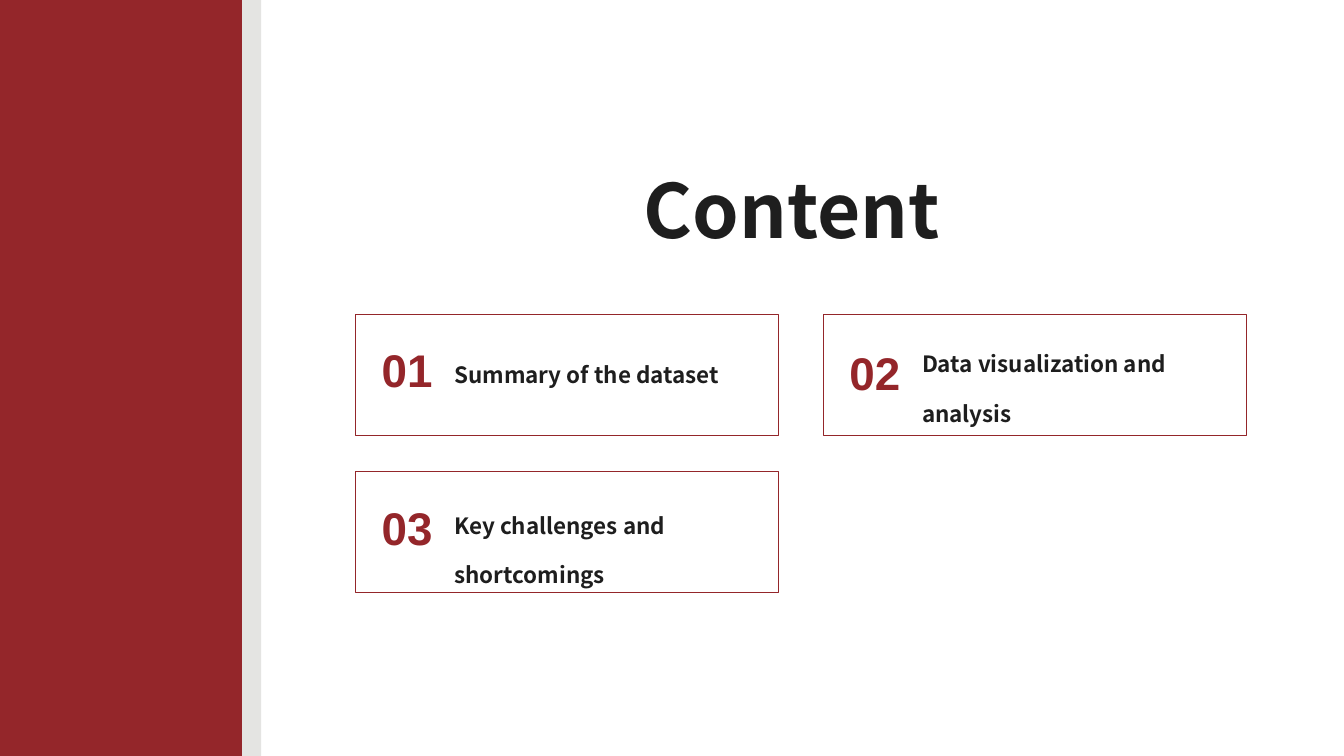
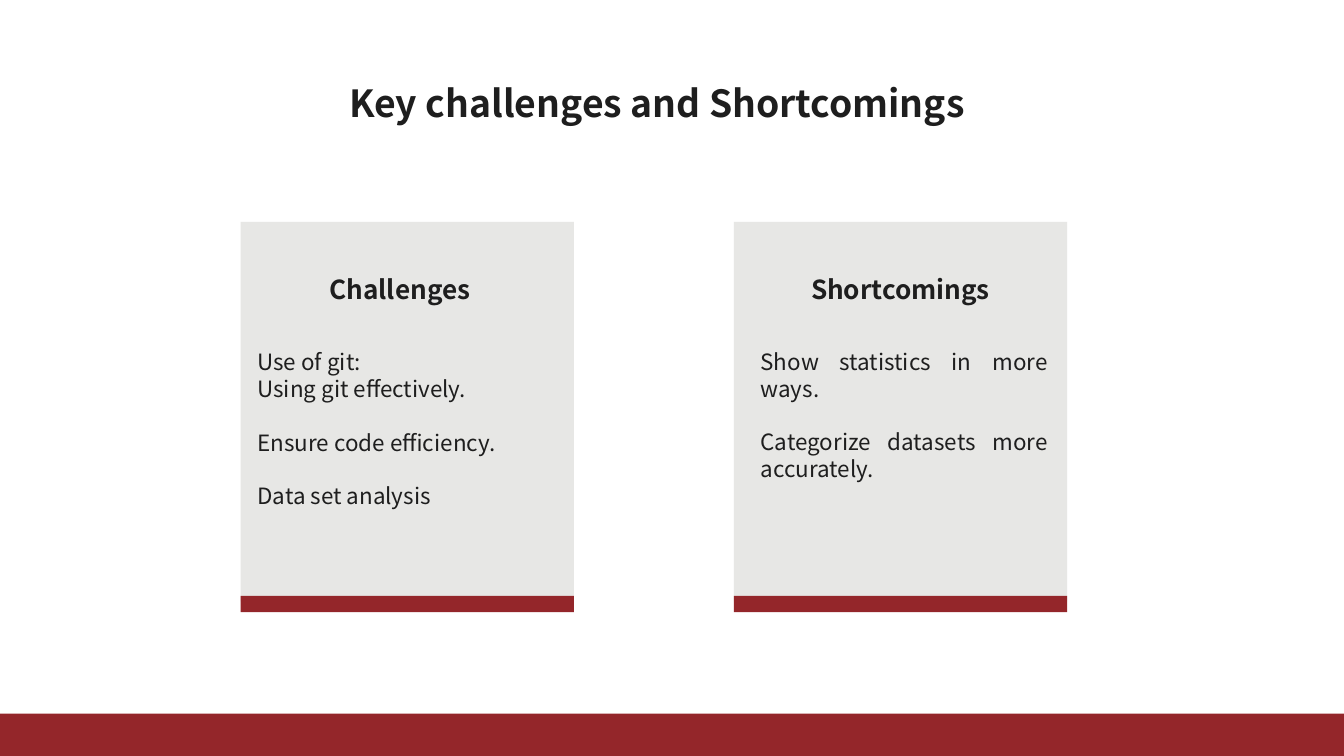
from dataclasses import dataclass
from typing import Optional

from lxml import etree
from pptx import Presentation
from pptx.dml.color import RGBColor
from pptx.enum.shapes import MSO_SHAPE
from pptx.enum.text import MSO_ANCHOR, MSO_AUTO_SIZE, PP_ALIGN
from pptx.oxml.ns import qn
from pptx.util import Pt

RECT = MSO_SHAPE.RECTANGLE
TOP = MSO_ANCHOR.TOP
NO_FIT = MSO_AUTO_SIZE.NONE
LEFT, CENTER, JUSTIFY = PP_ALIGN.LEFT, PP_ALIGN.CENTER, PP_ALIGN.JUSTIFY

COLORS = {"red": "94262A", "gray": "E4E4E2", "ink": "1E1E1E"}
SANS, DIGITS = "Noto Sans CJK SC", "Arial"
TITLE_ONLY = 5
SLIDE_W, SLIDE_H = 1440, 810

CARD_X, CARD_Y, CARD_W, CARD_H = 380.9, 337, 453, 129.6
CARD_DX, CARD_DY = 501.2, 168.5
PANEL_Y, PANEL_W, PANEL_H = 237.6, 357.1, 406.8
STRIP_Y, STRIP_H = 638.6, 17.3


@dataclass(frozen=True)
class Box:
    x: float
    y: float
    w: float
    h: float


@dataclass(frozen=True)
class Style:
    size: float
    line: float
    align: PP_ALIGN = LEFT
    bold: bool = True
    color: str = "ink"
    font: str = SANS


@dataclass(frozen=True)
class Card:
    number: str
    text: str
    number_dy: float
    text_dy: float
    text_w: float


@dataclass(frozen=True)
class Line:
    text: str
    gap: float = 0


@dataclass(frozen=True)
class Panel:
    x: float
    heading: str
    heading_x: float
    body: Box
    lines: tuple[Line, ...]


COVER_TITLE = Style(80, 155.2, CENTER)
SLIDE_TITLE = Style(40, 52.8)
CARD_TEXT = Style(24, 52.8)
CARD_NUMBER = Style(49, 58.8, color="red", font=DIGITS)
HEADING = Style(28, 43.7, CENTER)
BODY = Style(24, 28.6, JUSTIFY, bold=False)

CARDS = (
    Card("01", "Summary of the dataset", 29.5, 25.9, 316),
    Card("02", "Data visualization and analysis", 32.4, 14.4, 336.2),
    Card("03", "Key challenges and shortcomings", 29.5, 18.7, 316),
)

PANELS = (
    Panel(257.8, "Challenges", 314.6, Box(275.8, 373.7, 298.8, 172.8), (
        Line("Use of git:"),
        Line("Using git effectively."),
        Line("Ensure code efficiency.", BODY.line),
        Line("Data set analysis", BODY.line),
    )),
    Panel(786.2, "Shortcomings", 851, Box(815, 373, 307.4, 144), (
        Line("Show statistics in more ways."),
        Line("Categorize datasets more accurately.", BODY.line),
    )),
)


def rgb(name: str) -> RGBColor:
    return RGBColor.from_string(COLORS[name])


def place(sp, box: Box) -> None:
    sp.left, sp.top, sp.width, sp.height = map(Pt, (box.x, box.y, box.w, box.h))


def add_rect(s, box: Box, fill: Optional[str] = None,
             line: Optional[str] = None, opacity: int = 100) -> None:
    sp = s.shapes.add_shape(RECT, 0, 0, 0, 0)
    place(sp, box)
    sp.shadow.inherit = False
    if fill:
        sp.fill.solid()
        sp.fill.fore_color.rgb = rgb(fill)
        if opacity < 100:
            color = sp._element.spPr.find(".//" + qn("a:srgbClr"))
            etree.SubElement(color, qn("a:alpha")).set("val", str(opacity * 1000))
    else:
        sp.fill.background()
    if line:
        sp.line.color.rgb = rgb(line)
        sp.line.width = Pt(0.75)
    else:
        sp.line.fill.background()


def write(sp, lines: tuple[Line, ...], style: Style) -> None:
    tf = sp.text_frame
    tf.word_wrap = True
    tf.auto_size = NO_FIT
    tf.vertical_anchor = TOP
    tf.margin_left = tf.margin_right = tf.margin_top = tf.margin_bottom = 0
    for i, line in enumerate(lines):
        p = tf.add_paragraph() if i else tf.paragraphs[0]
        p.text = line.text
        p.alignment = style.align
        p.line_spacing = Pt(style.line)
        p.space_before = Pt(line.gap)
        p.font.name = style.font
        p.font.size = Pt(style.size)
        p.font.bold = style.bold
        p.font.color.rgb = rgb(style.color)


def add_text(s, box: Box, style: Style, *lines: Line) -> None:
    sp = s.shapes.add_textbox(0, 0, 0, 0)
    place(sp, box)
    write(sp, lines, style)


def add_slide(prs, title: str, box: Box, style: Style):
    s = prs.slides.add_slide(prs.slide_layouts[TITLE_ONLY])
    place(s.shapes.title, box)
    write(s.shapes.title, (Line(title),), style)
    return s


def add_card(s, card: Card, x: float, y: float) -> None:
    add_rect(s, Box(x, y, CARD_W, CARD_H), line="red")
    add_text(s, Box(x + 105.8, y + card.text_dy, card.text_w, 106),
             CARD_TEXT, Line(card.text))
    add_text(s, Box(x + 28, y + card.number_dy, 66.2, 66.2),
             CARD_NUMBER, Line(card.number))


def add_panel(s, panel: Panel) -> None:
    add_rect(s, Box(panel.x, PANEL_Y, PANEL_W, PANEL_H), fill="gray", opacity=88)
    add_rect(s, Box(panel.x, STRIP_Y, PANEL_W, STRIP_H), fill="red")
    add_text(s, Box(panel.heading_x, 283, 227.5, 44), HEADING, Line(panel.heading))
    add_text(s, panel.body, BODY, *panel.lines)


def build_content(prs) -> None:
    s = add_slide(prs, "Content", Box(588.2, 116.6, 520.6, 157), COVER_TITLE)
    add_rect(s, Box(256.3, 0, 23.4, SLIDE_H), fill="gray")
    add_rect(s, Box(0, 0, 259.2, SLIDE_H), fill="red")
    for i, card in enumerate(CARDS):
        row, col = divmod(i, 2)
        add_card(s, card, CARD_X + col * CARD_DX, CARD_Y + row * CARD_DY)


def build_challenges(prs) -> None:
    s = add_slide(prs, "Key challenges and Shortcomings",
                  Box(374.4, 80.6, 691.2, 53.3), SLIDE_TITLE)
    add_rect(s, Box(0, 764.6, SLIDE_W, 45.4), fill="red")
    for panel in PANELS:
        add_panel(s, panel)


def main() -> None:
    prs = Presentation()
    prs.slide_width, prs.slide_height = Pt(SLIDE_W), Pt(SLIDE_H)
    build_content(prs)
    build_challenges(prs)
    prs.save("out.pptx")


if __name__ == "__main__":
    main()
